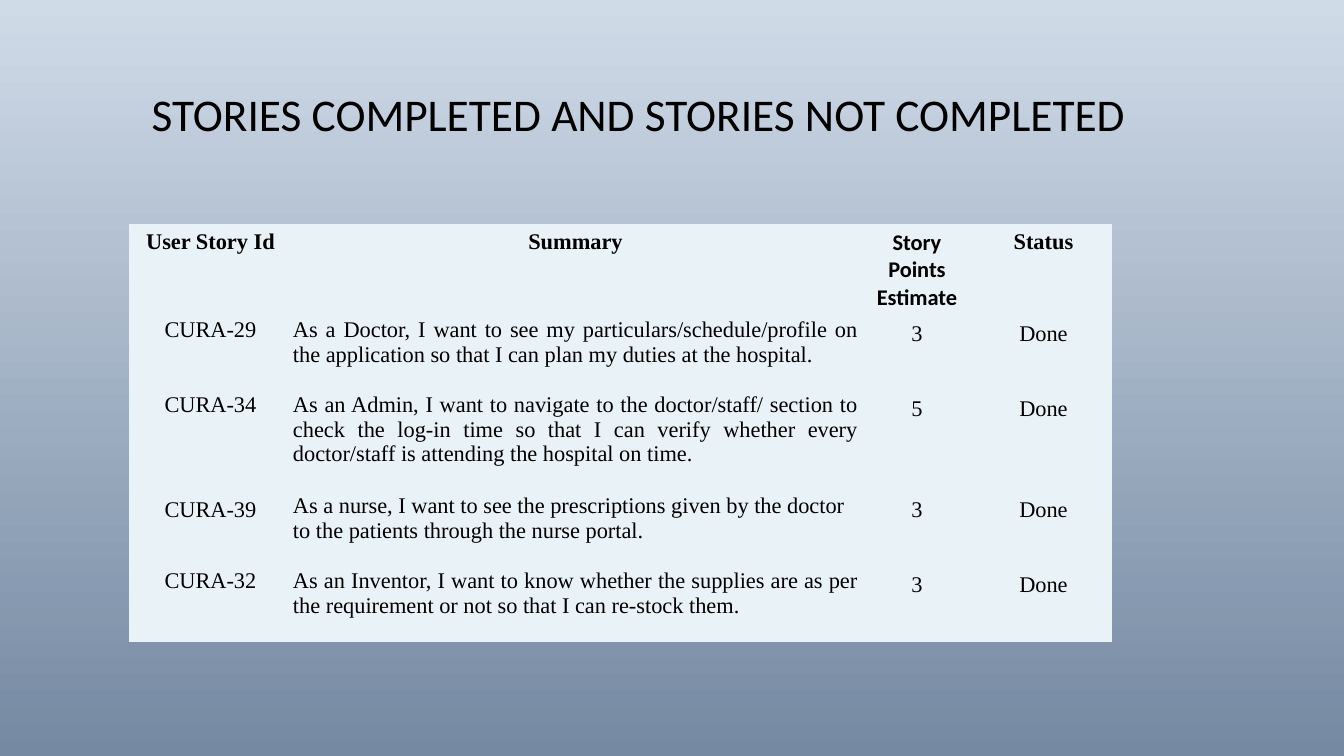
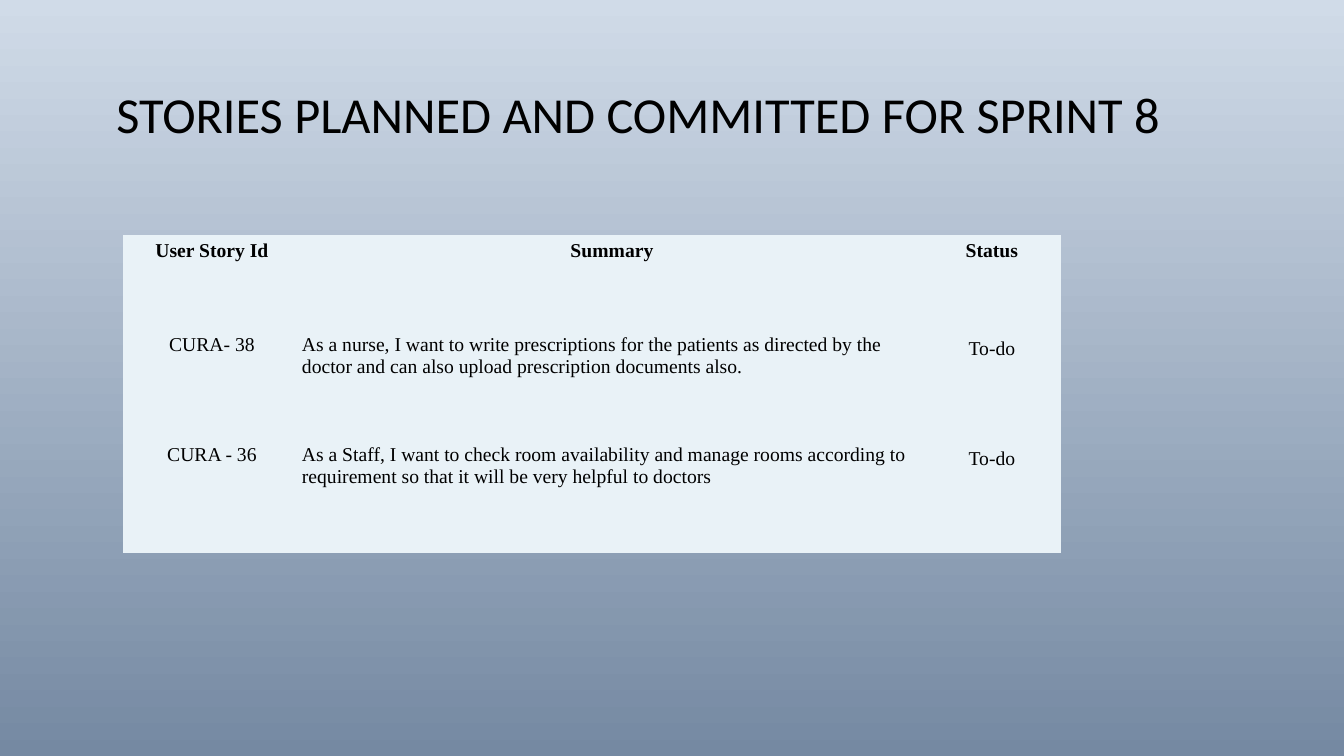
from dataclasses import dataclass

from pptx import Presentation
from pptx.dml.color import RGBColor
from pptx.enum.text import MSO_ANCHOR, MSO_AUTO_SIZE, PP_ALIGN
from pptx.oxml.ns import qn
from pptx.util import Emu, Pt

CENTER, LEFT, JUSTIFY = PP_ALIGN.CENTER, PP_ALIGN.LEFT, PP_ALIGN.JUSTIFY
MIDDLE, NO_FIT = MSO_ANCHOR.MIDDLE, MSO_AUTO_SIZE.NONE

# Shared style
EMU_PER_PX = 914400 / 100.8
PAGE_SIZE = (1344, 756)
TITLE_BOX = (90, 69, 1097, 96)
TITLE_ONLY = 5
BACKGROUND = ("D0DBE8", "7589A2")
CELL_FILL, INK = "E9F2F7", "000000"
SANS, SERIF = "Calibri", "Times New Roman"
NO_GRID_STYLE = "{2D5ABB26-0587-4C30-8999-92F81FD0307C}"


@dataclass(frozen=True)
class Cell:
    text: str
    align: PP_ALIGN = CENTER
    bold: bool = False
    font: str = SERIF
    tight: bool = False


@dataclass(frozen=True)
class StoryPage:
    title: str
    title_size: float
    left: int
    top: int
    widths: list[int]
    heights: list[int]
    text_size: int
    rows: list[list[Cell]]


def px(length: int) -> Emu:
    return Emu(round(length * EMU_PER_PX))


def color(value: str) -> RGBColor:
    return RGBColor.from_string(value)


def header(text: str, font: str = SERIF) -> Cell:
    return Cell(text, bold=True, font=font)


def story(key: str, summary: str, *facts: str, align: PP_ALIGN = LEFT,
          tight_key: bool = True) -> list[Cell]:
    return [Cell(key, tight=tight_key), Cell(summary, align, tight=True),
            *(Cell(fact) for fact in facts)]


def style_font(font, name: str, size: float, bold: bool = False) -> None:
    font.name, font.size, font.bold = name, Pt(size), bold
    font.color.rgb = color(INK)


def add_title(page, text: str, size: float) -> None:
    box = page.shapes.title
    box.left, box.top, box.width, box.height = map(px, TITLE_BOX)
    frame = box.text_frame
    frame.text = text
    frame.word_wrap, frame.auto_size = True, NO_FIT
    frame.vertical_anchor = MIDDLE
    para = frame.paragraphs[0]
    para.alignment, para.line_spacing = CENTER, 0.9
    style_font(para.font, SANS, size)


def fill_cell(target, cell: Cell, size: int) -> None:
    target.fill.solid()
    target.fill.fore_color.rgb = color(CELL_FILL)
    if cell.tight:
        target.margin_left = target.margin_top = target.margin_right = px(1)
        target.margin_bottom = 0
    target.text_frame.text = cell.text
    for para in target.text_frame.paragraphs:
        para.alignment = cell.align
        style_font(para.font, cell.font, size, cell.bold)


def add_story_table(page, content: StoryPage) -> None:
    frame = page.shapes.add_table(
        len(content.heights), len(content.widths), px(content.left), px(content.top),
        px(sum(content.widths)), px(sum(content.heights)))
    frame.element.find(".//" + qn("a:tableStyleId")).text = NO_GRID_STYLE
    table = frame.table
    table.first_row = table.horz_banding = False
    for column, width in zip(table.columns, content.widths):
        column.width = px(width)
    for row, height, cells in zip(table.rows, content.heights, content.rows):
        row.height = px(height)
        for target, cell in zip(row.cells, cells):
            fill_cell(target, cell, content.text_size)


# Slide content
PAGES = [
    StoryPage(
        "STORIES COMPLETED AND STORIES NOT COMPLETED", 32.4, 129, 224,
        [163, 567, 116, 137], [92, 75, 101, 75, 75], 16,
        [
            [header("User Story Id"), header("Summary"),
             header("Story Points\nEstimate", SANS), header("Status")],
            story("CURA-29", "As a Doctor, I want to see my particulars/schedule/profile on "
                  "the application so that I can plan my duties at the hospital.",
                  "3", "Done", align=JUSTIFY),
            story("CURA-34", "As an Admin, I want to navigate to the doctor/staff/ section to "
                  "check the log-in time so that I can verify whether every doctor/staff is "
                  "attending the hospital on time.", "5", "Done", align=JUSTIFY),
            story("CURA-39", "As a nurse, I want to see the prescriptions given by the doctor "
                  "to the patients through the nurse portal.",
                  "3", "Done", tight_key=False),
            story("CURA-32", "As an Inventor, I want to know whether the supplies are as per "
                  "the requirement or not so that I can re-stock them.",
                  "3", "Done", align=JUSTIFY),
        ]),
    StoryPage(
        "STORIES PLANNED AND COMMITTED FOR SPRINT 8", 36, 123, 235,
        [178, 622, 138], [98, 110, 110], 14,
        [
            [header("User Story Id"), header("Summary"), header("Status")],
            story("CURA- 38", "As a nurse, I want to write prescriptions for the patients as "
                  "directed by the doctor and can also upload prescription documents also.",
                  "To-do"),
            story("CURA - 36", "As a Staff, I want to check room availability and manage rooms "
                  "according to requirement so that it will be very helpful to doctors",
                  "To-do"),
        ]),
]


def main() -> None:
    deck = Presentation()
    deck.slide_width, deck.slide_height = map(px, PAGE_SIZE)

    # Background shared through the master
    fill = deck.slide_master.background.fill
    fill.gradient()
    fill.gradient_angle = 270
    for stop, value in zip(fill.gradient_stops, BACKGROUND):
        stop.color.rgb = color(value)

    for content in PAGES:
        page = deck.slides.add_slide(deck.slide_layouts[TITLE_ONLY])
        add_title(page, content.title, content.title_size)
        add_story_table(page, content)
    deck.save("out.pptx")


if __name__ == "__main__":
    main()
